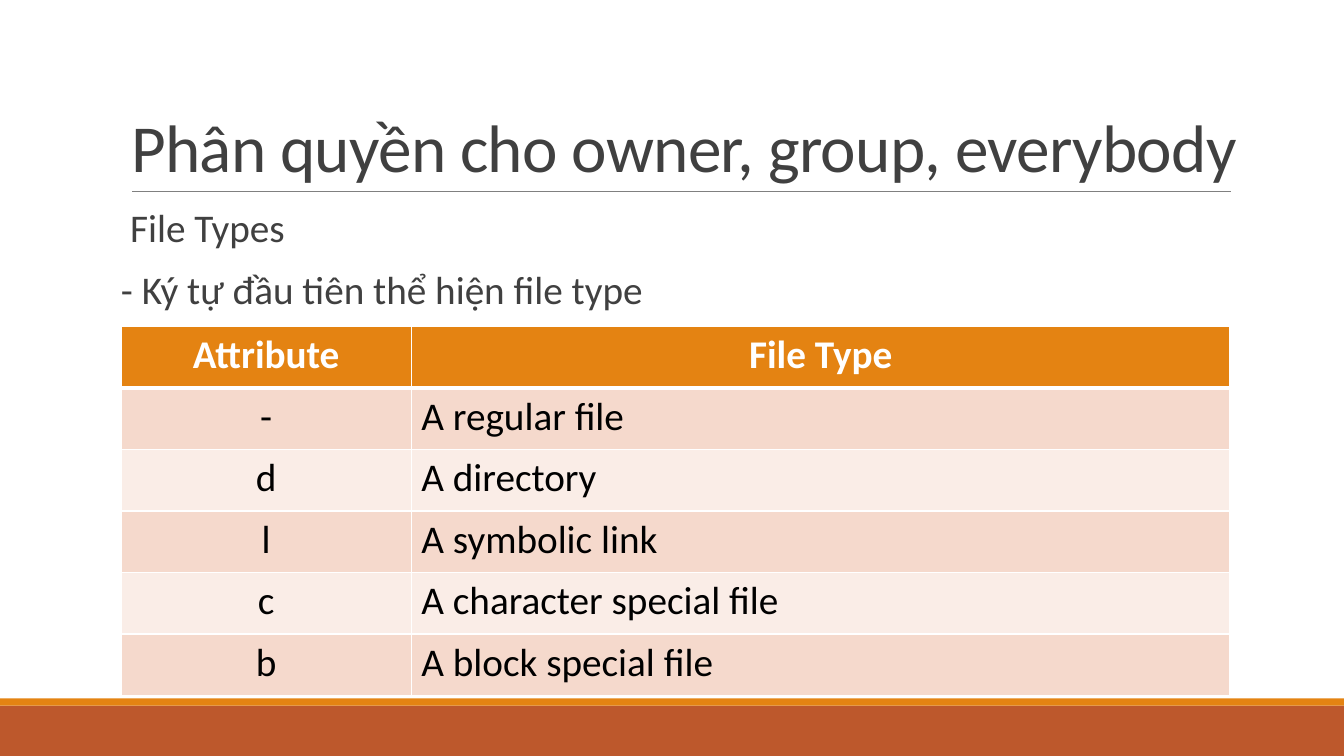
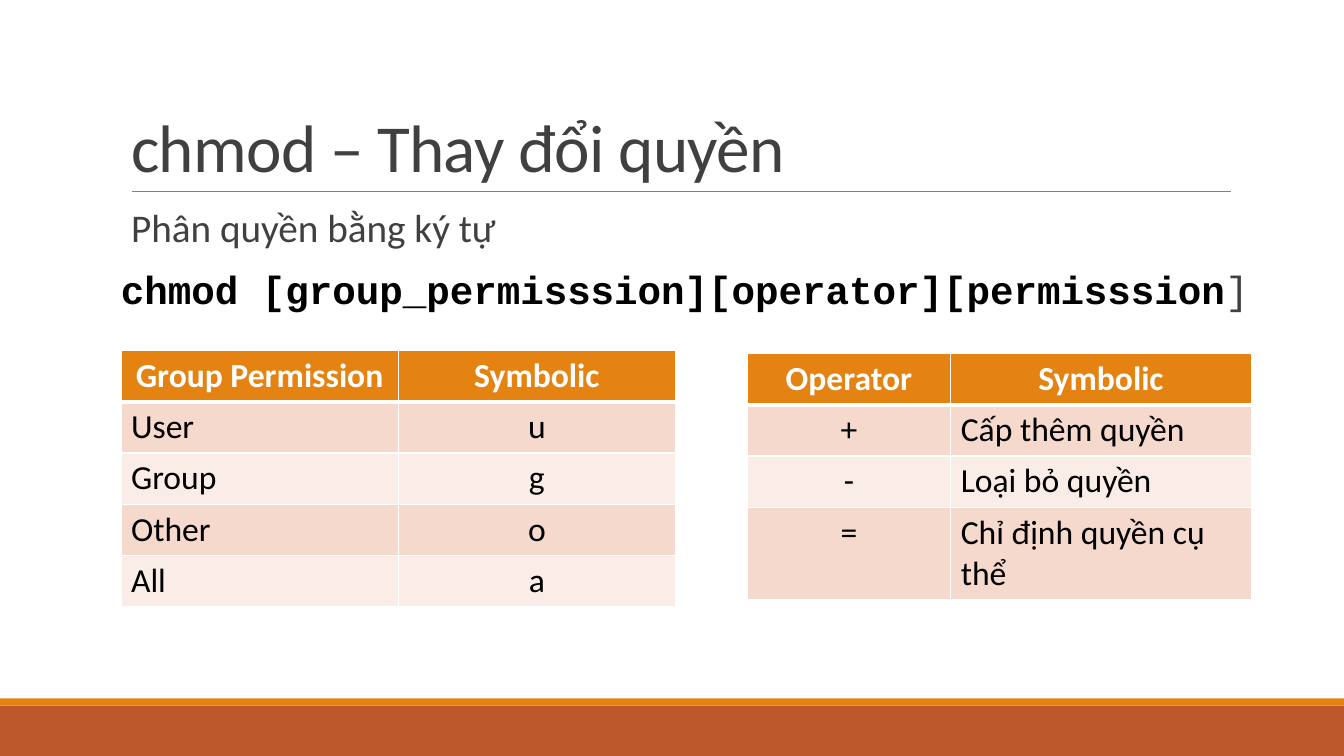
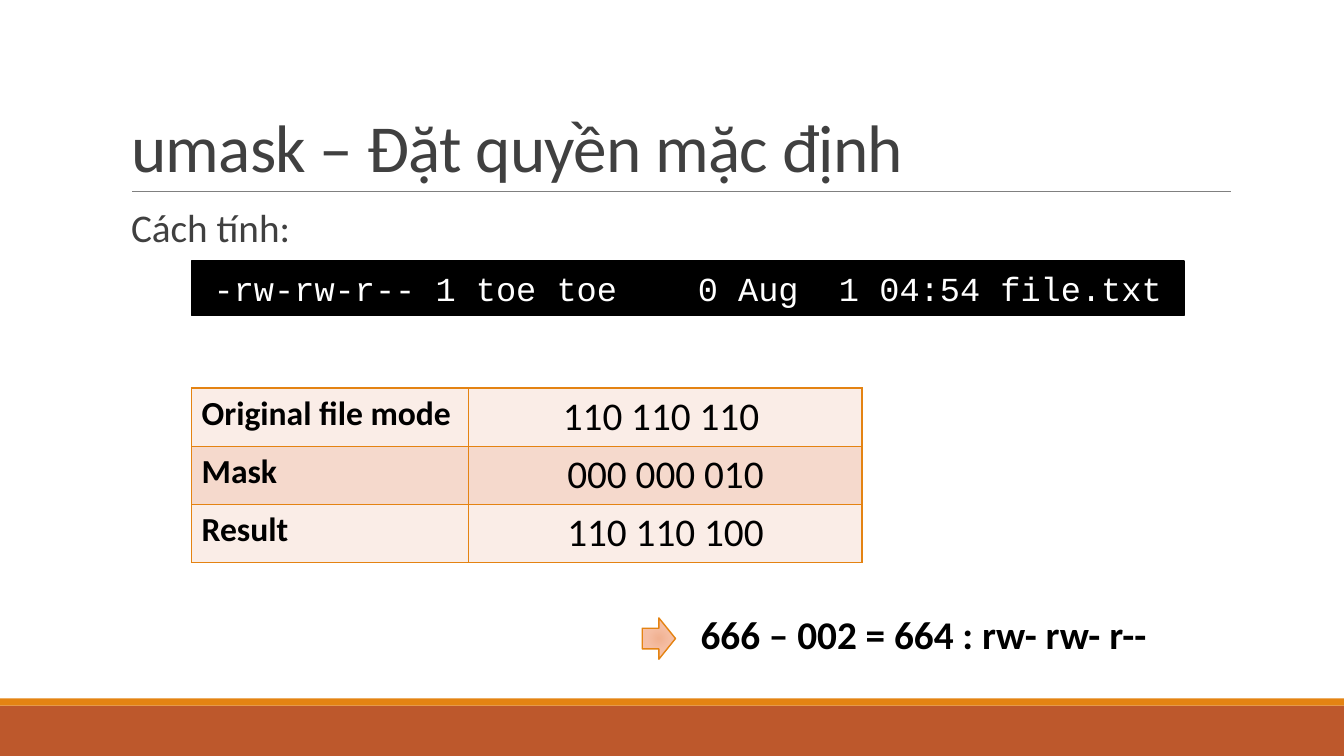
from pptx import Presentation
from pptx.dml.color import RGBColor
from pptx.enum.shapes import MSO_CONNECTOR, MSO_SHAPE
from pptx.enum.text import MSO_ANCHOR, MSO_AUTO_SIZE, PP_ALIGN
from pptx.oxml import parse_xml
from pptx.oxml.ns import nsdecls, qn
from pptx.util import Inches, Pt
from lxml.etree import SubElement

COLORS = {
    "title": "404040",
    "rule": "808080",
    "orange": "E48312",
    "rust": "BD582C",
    "band": "F5D9CC",
    "light": "FAEDE7",
    "black": "000000",
    "white": "FFFFFF",
}
ARROW_STOPS = [(0, "F0B191"), (45, "F5BEA4"), (100, "FDC3A8")]
SANS, MONO = "Calibri", "Courier New"
LEFT, CENTER = PP_ALIGN.LEFT, PP_ALIGN.CENTER


def rgb(name):
    return RGBColor.from_string(COLORS[name])


def write(p, text, size=28, font=SANS, color="black", bold=False, align=LEFT, spacing=0):
    p.alignment = align
    r = p.add_run()
    r.text = text
    r.font.size = Pt(size)
    r.font.name = font
    r.font.bold = bold
    r.font.color.rgb = rgb(color)
    if spacing:
        r._r.get_or_add_rPr().set("spc", str(int(spacing * 100)))


def place(shape, x, y, w, h):
    shape.left, shape.top = Inches(x), Inches(y)
    shape.width, shape.height = Inches(w), Inches(h)


def add_box(s, x, y, w, h, fill, line=None, line_width=1, kind=MSO_SHAPE.RECTANGLE):
    sp = s.shapes.add_shape(kind, Inches(x), Inches(y), Inches(w), Inches(h))
    sp.shadow.inherit = False
    sp.fill.solid()
    sp.fill.fore_color.rgb = rgb(fill)
    if line:
        sp.line.color.rgb = rgb(line)
        sp.line.width = Pt(line_width)
    else:
        sp.line.fill.background()
    return sp


def add_rule(s, x1, x2, y):
    c = s.shapes.add_connector(
        MSO_CONNECTOR.STRAIGHT, Inches(x1), Inches(y), Inches(x2), Inches(y))
    c.line.color.rgb = rgb("rule")
    c.line.width = Pt(0.5)
    SubElement(c._element.spPr, qn("a:effectLst"))


def add_slide(prs, title, title_width=11, body_width=11):
    s = prs.slides.add_slide(prs.slide_layouts[1])
    add_box(s, 0, 7, 13.33, 0.5, "rust")
    add_box(s, 0, 6.93, 13.33, 0.07, "orange")
    add_rule(s, 1.31, 12.21, 1.9)

    place(s.shapes.title, 1.2, 0.31, title_width, 1.59)
    tf = s.shapes.title.text_frame
    tf.auto_size = MSO_AUTO_SIZE.NONE
    tf.vertical_anchor = MSO_ANCHOR.BOTTOM
    p = tf.paragraphs[0]
    p.line_spacing = 0.85
    write(p, title, size=48, color="title", spacing=-0.5)

    body = s.placeholders[1]
    place(body, 1.2, 2.02, body_width, 4.4)
    tf = body.text_frame
    tf.auto_size = MSO_AUTO_SIZE.NONE
    tf.margin_left = tf.margin_right = 0
    return s, tf


def body_paragraph(p, indent=0):
    p.line_spacing = 0.9
    p.space_before, p.space_after = Pt(12), Pt(2)
    pPr = p._p.get_or_add_pPr()
    pPr.set("marL", str(Inches(indent)))
    pPr.set("indent", "0")
    SubElement(pPr, qn("a:buNone"))
    return p


def set_border(cell, side, color, width):
    cell._tc.get_or_add_tcPr().append(parse_xml(
        f'<a:ln{side} {nsdecls("a")} w="{Pt(width)}"><a:solidFill>'
        f'<a:srgbClr val="{COLORS[color]}"/></a:solidFill></a:ln{side}>'))


def add_table(s, x, y, widths, row_height, rows, aligns, sizes,
              header=True, bold_first=False, border="white"):
    frame = s.shapes.add_table(
        len(rows), len(widths), Inches(x), Inches(y),
        Inches(sum(widths)), Inches(row_height * len(rows)))
    table = frame.table
    table.first_row = header
    for col, width in zip(table.columns, widths):
        col.width = Inches(width)
    for i, values in enumerate(rows):
        table.rows[i].height = Inches(row_height)
        is_head = header and i == 0
        fill = "orange" if is_head else "band" if i % 2 else "light"
        edges = {"L": 1, "R": 1,
                 "T": 3 if header and i == 1 else 1,
                 "B": 3 if is_head else 1}
        for j, text in enumerate(values):
            cell = table.cell(i, j)
            for side, width in edges.items():
                set_border(cell, side, border, width)
            cell.fill.solid()
            cell.fill.fore_color.rgb = rgb(fill)
            write(cell.text_frame.paragraphs[0], text, size=sizes[j],
                  color="white" if is_head else "black",
                  bold=is_head or (bold_first and j == 0),
                  align=CENTER if is_head else aligns[j])


def add_arrow(s, x, y, w, h):
    sp = add_box(s, x, y, w, h, "band", line="orange", kind=MSO_SHAPE.RIGHT_ARROW)
    stops = "".join(
        f'<a:gs pos="{pos * 1000}"><a:srgbClr val="{color}"/></a:gs>'
        for pos, color in ARROW_STOPS)
    gradient = parse_xml(
        f'<a:gradFill {nsdecls("a")}><a:gsLst>{stops}</a:gsLst><a:path path="circle">'
        '<a:fillToRect l="100000" t="100000" r="100000" b="100000"/>'
        '</a:path></a:gradFill>')
    spPr = sp._element.spPr
    spPr.replace(spPr.find(qn("a:solidFill")), gradient)


def file_types_slide(prs):
    s, tf = add_slide(prs, "Phân quyền cho owner, group, everybody", title_width=11.86)
    write(body_paragraph(tf.paragraphs[0], 0.09), "File Types", color="title")
    write(body_paragraph(tf.add_paragraph()),
          "- Ký tự đầu tiên thể hiện file type", color="title")
    add_table(s, 1.2, 3.24, [2.88, 8.12], 0.61, [
        ("Attribute", "File Type"),
        ("-", "A regular file"),
        ("d", "A directory"),
        ("l", "A symbolic link"),
        ("c", "A character special file"),
        ("b", "A block special file"),
    ], [CENTER, LEFT], [28, 28])


def chmod_slide(prs):
    s, tf = add_slide(prs, "chmod – Thay đổi quyền", body_width=11.91)
    write(body_paragraph(tf.paragraphs[0], 0.1), "Phân quyền bằng ký tự", color="title")
    p = body_paragraph(tf.add_paragraph())
    write(p, "chmod [group_permisssion][operator][permisssion", font=MONO, bold=True)
    write(p, "]", font=MONO, color="title")
    add_table(s, 1.2, 3.48, [2.75, 2.75], 0.5, [
        ("Group Permission", "Symbolic"),
        ("User", "u"),
        ("Group", "g"),
        ("Other", "o"),
        ("All", "a"),
    ], [LEFT, CENTER], [24, 24])
    add_table(s, 7.41, 3.51, [2.02, 2.98], 0.5, [
        ("Operator", "Symbolic"),
        ("+", "Cấp thêm quyền"),
        ("-", "Loại bỏ quyền"),
        ("=", "Chỉ định quyền cụ thể"),
    ], [CENTER, LEFT], [24, 24])


def umask_slide(prs):
    s, tf = add_slide(prs, "umask – Đặt quyền mặc định")
    write(body_paragraph(tf.paragraphs[0], 0.1), "Cách tính:", color="title")
    terminal = add_box(s, 1.9, 2.59, 9.84, 0.54, "black", line="black", line_width=1.25)
    terminal.text_frame.vertical_anchor = MSO_ANCHOR.MIDDLE
    write(terminal.text_frame.paragraphs[0],
          "-rw-rw-r-- 1 toe toe    0 Aug  1 04:54 file.txt",
          size=24, font=MONO, color="white", align=CENTER)
    add_table(s, 1.9, 3.85, [2.75, 3.9], 0.57, [
        ("Original file mode", "110 110 110 "),
        ("Mask", "000 000 010"),
        ("Result", "110 110 100"),
    ], [LEFT, CENTER], [24, 28], header=False, bold_first=True, border="orange")
    add_arrow(s, 6.37, 6.13, 0.33, 0.41)
    result = s.shapes.add_textbox(Inches(6.58), Inches(6.01), Inches(5.16), Inches(0.57))
    result.text_frame.word_wrap = True
    write(result.text_frame.paragraphs[0], "666 – 002 = 664 : rw- rw- r--",
          bold=True, align=CENTER)


def main():
    prs = Presentation()
    prs.slide_width, prs.slide_height = Inches(13.33), Inches(7.5)
    file_types_slide(prs)
    chmod_slide(prs)
    umask_slide(prs)
    prs.save("out.pptx")


if __name__ == "__main__":
    main()
